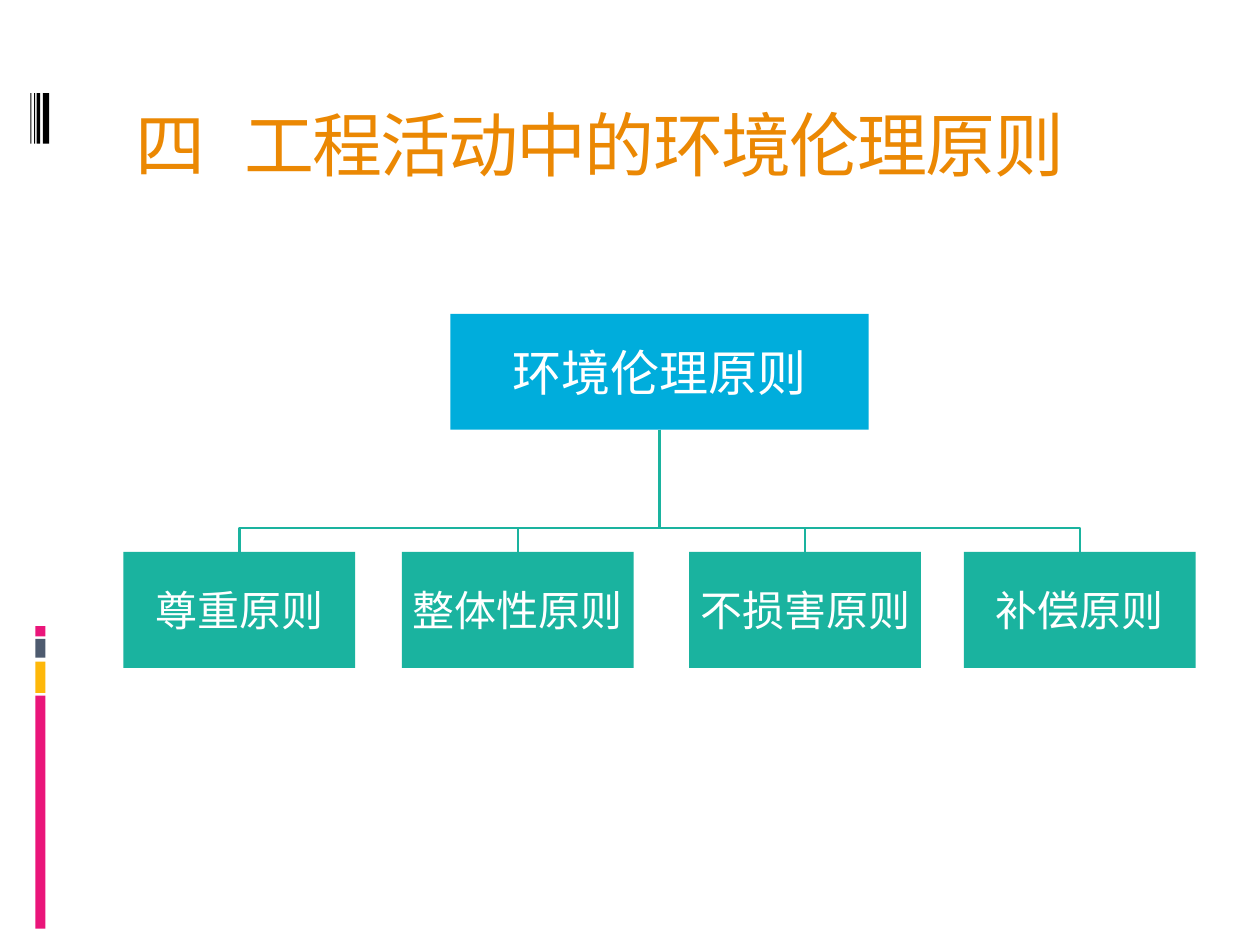
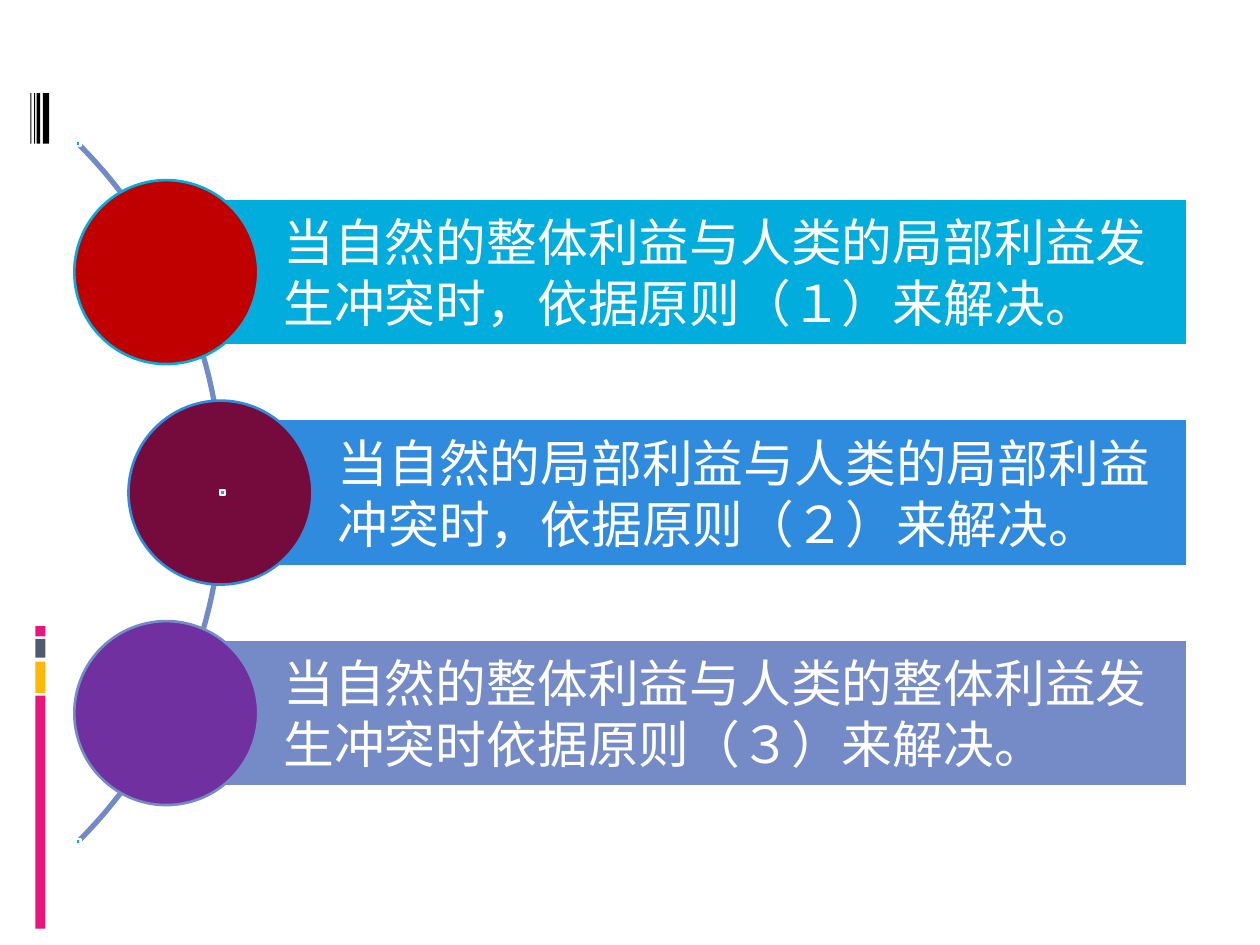
from dataclasses import dataclass
from math import cos, pi, sin

from pptx import Presentation
from pptx.dml.color import RGBColor
from pptx.enum.shapes import MSO_SHAPE
from pptx.enum.text import MSO_ANCHOR, PP_ALIGN
from pptx.oxml.ns import qn
from pptx.util import Inches, Pt

RECT, OVAL = MSO_SHAPE.RECTANGLE, MSO_SHAPE.OVAL
TOP, MIDDLE = MSO_ANCHOR.TOP, MSO_ANCHOR.MIDDLE
LEFT, CENTER = PP_ALIGN.LEFT, PP_ALIGN.CENTER


@dataclass(frozen=True)
class Theme:
    title_font: str = "Noto Sans Mono"
    body_font: str = "Calibri"
    title_size: int = 40
    root_size: int = 28
    leaf_size: int = 24
    rule_size: int = 29
    line_width: float = 1.5
    arc_width: float = 3
    title: str = "EB8803"
    white: str = "FFFFFF"
    black: str = "000000"
    pink: str = "EA157A"
    amber: str = "FEB80A"
    slate: str = "4E5B6F"
    cyan: str = "00ADDC"
    teal: str = "1AB39F"
    blue: str = "2F8BDD"
    periwinkle: str = "748BC8"
    arc: str = "738AC8"
    red: str = "C00000"
    maroon: str = "750B3D"
    purple: str = "7030A0"


THEME = Theme()


# Shared drawing helpers
def set_line(shape, color, width=THEME.line_width):
    shape.line.color.rgb = RGBColor.from_string(color)
    shape.line.width = Pt(width)


def add_block(page, kind, box, fill, line=None):
    shape = page.shapes.add_shape(kind, *(Inches(length) for length in box))
    shape.shadow.inherit = False
    shape.fill.solid()
    shape.fill.fore_color.rgb = RGBColor.from_string(fill)
    if line:
        set_line(shape, line)
    else:
        shape.line.fill.background()
    return shape


def add_path(page, points, color, width=THEME.line_width):
    builder = page.shapes.build_freeform(
        Inches(points[0][0]), Inches(points[0][1]), scale=1.0)
    builder.add_line_segments(
        [(Inches(x), Inches(y)) for x, y in points[1:]], close=False)
    path_shape = builder.convert_to_shape()
    path_shape.shadow.inherit = False
    path_shape.fill.background()
    set_line(path_shape, color, width)


def write_text(shape, text, size, insets, font=THEME.body_font,
               color=THEME.white, align=LEFT, anchor=MIDDLE, spacing=None):
    frame = shape.text_frame
    frame.text = text
    frame.word_wrap = True
    frame.vertical_anchor = anchor
    (frame.margin_left, frame.margin_top,
     frame.margin_right, frame.margin_bottom) = (Inches(i) for i in insets)
    para = frame.paragraphs[0]
    para.alignment = align
    span = para.runs[0]
    span.font.size = Pt(size)
    span.font.name = font
    span.font.color.rgb = RGBColor.from_string(color)
    properties = span._r.get_or_add_rPr()
    east_asian = properties.makeelement(qn("a:ea"), {"typeface": font})
    properties.find(qn("a:latin")).addnext(east_asian)
    if spacing is not None:
        properties.set("spc", str(spacing))


# Left edge decoration, the same on every slide
def add_side_marks(page):
    for top, height, color in ((5.52, 1.85, THEME.pink), (5.25, 0.25, THEME.amber),
                               (5.07, 0.15, THEME.slate), (4.97, 0.08, THEME.pink)):
        add_block(page, RECT, (0.28, top, 0.08, height), color)
    for left, width in ((0.34, 0.05), (0.29, 0.03), (0.27, 0.01), (0.24, 0.01)):
        add_block(page, RECT, (left, 0.74, width, 0.4), THEME.black)


def add_title(page, text, box):
    title = page.shapes.add_textbox(*(Inches(length) for length in box))
    write_text(title, text, THEME.title_size, (0.1, 0.05, 0.1, 0.05),
               THEME.title_font, THEME.title, anchor=TOP, spacing=-100)


# Tree: one root above a row of leaves
def add_tree(page, box, root, leaves):
    left, top, width, height = box
    node_height, leaf_width, root_width = 0.92, 1.84, 3.32
    root_left = left + (width - root_width) / 2
    root_center = left + width / 2
    leaf_top = top + height - node_height
    elbow = leaf_top - 0.19
    insets = (0.02,) * 4

    for _, offset in leaves:
        leaf_center = left + offset + leaf_width / 2
        add_path(page, [(root_center, top + node_height), (root_center, elbow),
                        (leaf_center, elbow), (leaf_center, leaf_top)], THEME.teal)

    node = add_block(page, RECT, (root_left, top, root_width, node_height), THEME.cyan)
    write_text(node, root, THEME.root_size, insets, align=CENTER)
    for name, offset in leaves:
        node = add_block(page, RECT, (left + offset, leaf_top, leaf_width, node_height),
                         THEME.teal)
        write_text(node, name, THEME.leaf_size, insets, align=CENTER)


# Curved list: bars that start at circles along an arc
def add_curved_list(page, box, rules):
    left, top, width, height = box
    right, middle = left + width, top + height / 2
    radius = height / 2 / sin(pi / 4)
    arc_center = left - radius * cos(pi / 4)
    steps = 60
    angles = [-pi / 4 + pi / 2 * step / steps for step in range(steps + 1)]
    add_path(page, [(arc_center + radius * cos(angle), middle + radius * sin(angle))
                    for angle in angles], THEME.arc, THEME.arc_width)

    diameter, bar_height, pitch = 1.46, 1.17, 1.75
    for index, (text, indent, bar_color, circle_color) in enumerate(rules):
        center_x = left + indent
        center_y = middle + (index - 1) * pitch
        bar = add_block(page, RECT, (center_x, center_y - bar_height / 2,
                                     right - center_x, bar_height),
                        bar_color, THEME.white)
        write_text(bar, text, THEME.rule_size, (0.93, 0.08, 0.08, 0.08))
        add_block(page, OVAL, (center_x - diameter / 2, center_y - diameter / 2,
                               diameter, diameter), circle_color, bar_color)

    # Small squares at the ends and the middle of the arc
    dot = 0.04
    for x, y in ((left, top), (arc_center + radius, middle), (left, top + height)):
        add_block(page, RECT, (x - dot / 2, y - dot / 2, dot, dot),
                  THEME.cyan, THEME.white)


def build_principles(page):
    add_side_marks(page)
    add_title(page, "四 工程活动中的环境伦理原则", (0.98, 0.76, 8.5, 1))
    add_tree(page, (0.98, 2.49, 8.51, 2.81), "环境伦理原则",
             [("尊重原则", 0), ("整体性原则", 2.21),
              ("不损害原则", 4.49), ("补偿原则", 6.67)])


def build_conflict_rules(page):
    add_side_marks(page)
    add_curved_list(page, (0.62, 1.14, 8.8, 5.54), [
        ("当自然的整体利益与人类的局部利益发生冲突时，依据原则（１）来解决。",
         0.7, THEME.cyan, THEME.red),
        ("当自然的局部利益与人类的局部利益冲突时，依据原则（２）来解决。",
         1.13, THEME.blue, THEME.maroon),
        ("当自然的整体利益与人类的整体利益发生冲突时依据原则（３）来解决。",
         0.7, THEME.periwinkle, THEME.purple),
    ])


def main():
    deck = Presentation()
    deck.slide_width, deck.slide_height = Inches(10), Inches(7.5)
    blank = deck.slide_layouts[6]
    for build in (build_principles, build_conflict_rules):
        build(deck.slides.add_slide(blank))
    deck.save("out.pptx")


if __name__ == "__main__":
    main()
